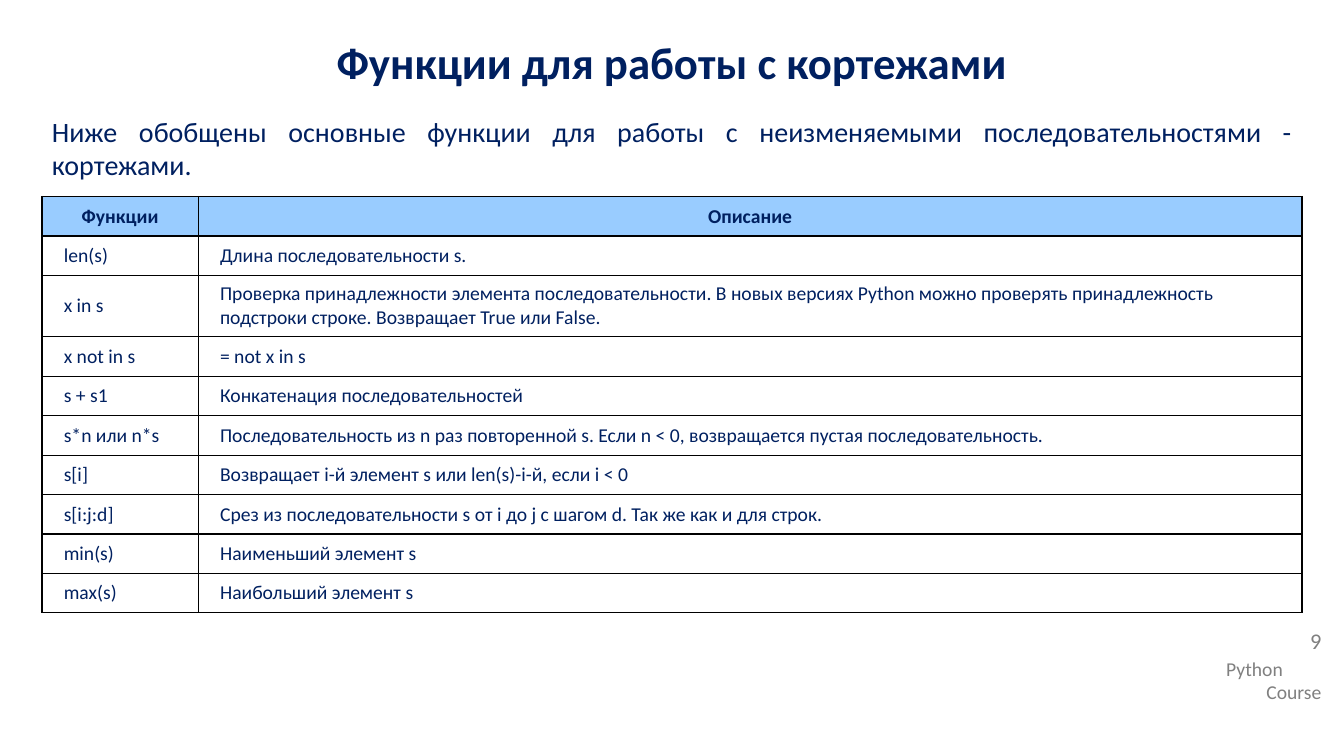
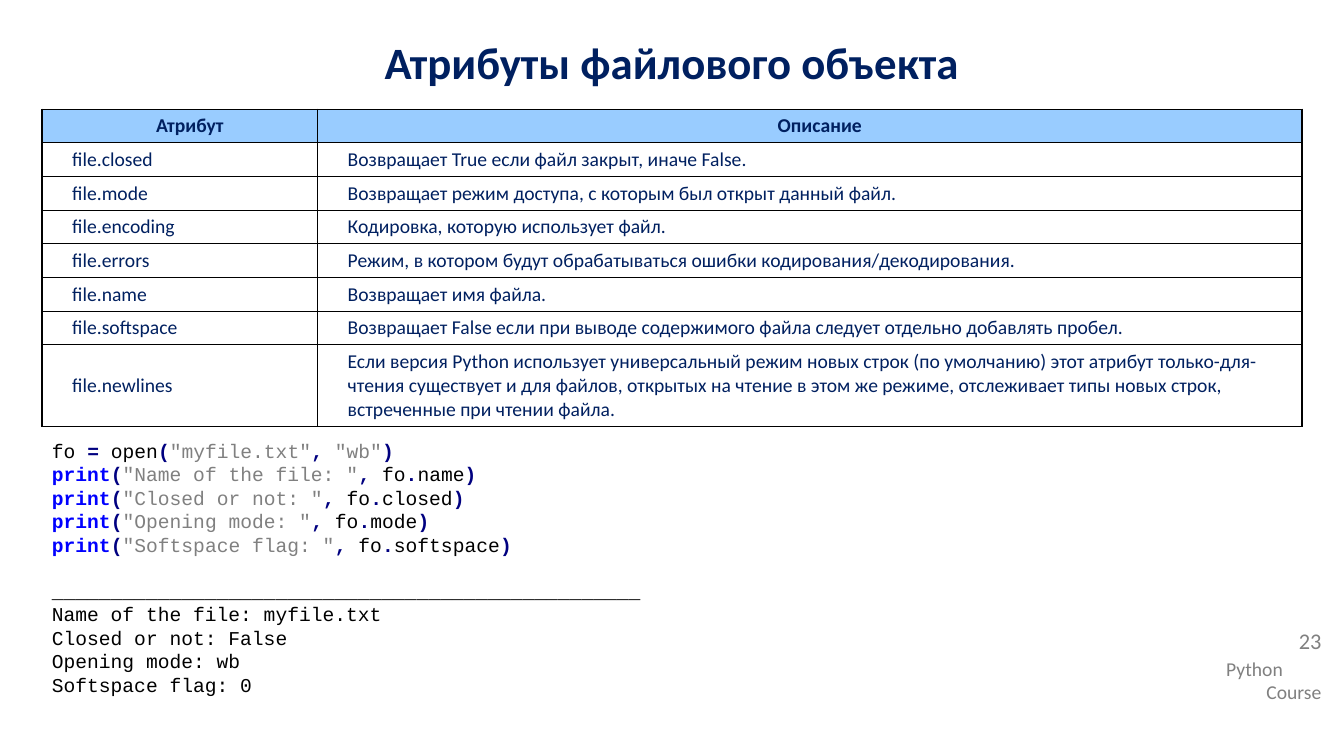
from dataclasses import dataclass

from lxml import etree
from pptx import Presentation
from pptx import util as u
from pptx.dml.color import RGBColor
from pptx.enum import text
from pptx.oxml import ns

PX = 7620
SLIDE_WIDTH, SLIDE_HEIGHT = 1600, 900
MARGIN, CONTENT_TOP = 50, 130
CONTENT_WIDTH = SLIDE_WIDTH - 2 * MARGIN


@dataclass(frozen=True)
class TextStyle:
    size: int
    color: str
    bold: bool = False
    font: str = "Calibri"


NAVY, GRAY, BLACK = "002060", "808080", "000000"
CODE_SIZE, CODE_FONT = 14, "Courier New"
THEME = {
    "header_fill": "99CCFF",
    "border": BLACK,
    "title": TextStyle(32, NAVY, True),
    "intro": TextStyle(20, NAVY),
    "header": TextStyle(14, NAVY, True),
    "cell": TextStyle(14, NAVY),
    "number": TextStyle(16, GRAY),
    "footer": TextStyle(14, GRAY),
    "plain": TextStyle(CODE_SIZE, BLACK, False, CODE_FONT),
    "operator": TextStyle(CODE_SIZE, "000080", True, CODE_FONT),
    "keyword": TextStyle(CODE_SIZE, "0000FF", True, CODE_FONT),
    "string": TextStyle(CODE_SIZE, GRAY, False, CODE_FONT),
}

LEFT, CENTER = text.PP_ALIGN.LEFT, text.PP_ALIGN.CENTER
RIGHT, JUSTIFY = text.PP_ALIGN.RIGHT, text.PP_ALIGN.JUSTIFY

INTRO = (
    "Ниже обобщены основные функции для работы с неизменяемыми "
    "последовательностями - кортежами."
)

FUNCTIONS = [
    ("Функции", "Описание"),
    ("len(s)", "Длина последовательности s."),
    (
        "x in s",
        "Проверка принадлежности элемента последовательности. В новых версиях "
        "Python можно проверять принадлежность подстроки строке. "
        "Возвращает True или False.",
    ),
    ("x not in s", "= not x in s"),
    ("s + s1", "Конкатенация последовательностей"),
    (
        "s*n или n*s",
        "Последовательность из n раз повторенной s. Если n < 0, "
        "возвращается пустая последовательность.",
    ),
    ("s[i]", "Возвращает i-й элемент s или len(s)-i-й, если i < 0"),
    (
        "s[i:j:d]",
        "Срез из последовательности s от i до j с шагом d. Так же как и для строк.",
    ),
    ("min(s)", "Наименьший элемент s"),
    ("max(s)", "Наибольший элемент s"),
]

ATTRIBUTES = [
    ("Атрибут", "Описание"),
    ("file.closed", "Возвращает True если файл закрыт, иначе False."),
    ("file.mode", "Возвращает режим доступа, с которым был открыт данный файл."),
    ("file.encoding", "Кодировка, которую использует файл."),
    (
        "file.errors",
        "Режим, в котором будут обрабатываться ошибки кодирования/декодирования.",
    ),
    ("file.name", "Возвращает имя файла."),
    (
        "file.softspace",
        "Возвращает False если при выводе содержимого файла следует отдельно "
        "добавлять пробел.",
    ),
    (
        "file.newlines",
        "Если версия Python использует универсальный режим новых строк "
        "(по умолчанию) этот атрибут только-для-чтения существует и для файлов, "
        "открытых на чтение в этом же режиме, отслеживает типы новых строк, "
        "встреченные при чтении файла.",
    ),
]

OPEN_LINE = [
    ("fo ", "plain"),
    ("=", "operator"),
    (" open", "plain"),
    ("(", "operator"),
    ('"myfile.txt"', "string"),
    (", ", "operator"),
    ('"wb"', "string"),
    (")", "operator"),
]

PRINTED = [
    ("Name of the file: ", "name", "myfile.txt"),
    ("Closed or not: ", "closed", "False"),
    ("Opening mode: ", "mode", "wb"),
    ("Softspace flag: ", "softspace", "0"),
]


def px(length):
    return u.Emu(length * PX)


def add_paragraph(frame, runs, align=LEFT, first=False):
    paragraph = frame.paragraphs[0] if first else frame.add_paragraph()
    paragraph.alignment = align
    for content, style_name in runs:
        style = THEME[style_name]
        run = paragraph.add_run()
        run.text = content
        run.font.name = style.font
        run.font.size = u.Pt(style.size)
        run.font.bold = style.bold
        run.font.color.rgb = RGBColor.from_string(style.color)
    return paragraph


def add_text(slide, box, paragraphs, anchor=text.MSO_ANCHOR.TOP):
    shape = slide.shapes.add_textbox(*map(px, box))
    frame = shape.text_frame
    frame.word_wrap = True
    frame.vertical_anchor = anchor
    for index, (runs, align) in enumerate(paragraphs):
        add_paragraph(frame, runs, align, first=index == 0)
    return frame.paragraphs


def add_base(presentation, title, number):
    slide = presentation.slides.add_slide(presentation.slide_layouts[6])
    add_text(
        slide,
        (1448, 776, 137, 68),
        [([("Python", "footer")], LEFT), ([("Course", "footer")], RIGHT)],
    )
    page = add_text(
        slide, (1448, 744, 137, 54), [([(str(number), "number")], RIGHT)]
    )[0]
    page.line_spacing = 0.9
    page.space_before = u.Pt(10)
    heading = add_text(
        slide,
        (0, 28, SLIDE_WIDTH, 91),
        [([(title, "title")], CENTER)],
        text.MSO_ANCHOR.MIDDLE,
    )[0]
    heading.space_before = heading.space_after = u.Pt(5)
    return slide


def add_borders(cell):
    properties = cell._tc.get_or_add_tcPr()
    for position, side in enumerate(("lnL", "lnR", "lnT", "lnB")):
        line = etree.Element(ns.qn(f"a:{side}"), w=str(u.Pt(1)))
        fill = etree.SubElement(line, ns.qn("a:solidFill"))
        etree.SubElement(fill, ns.qn("a:srgbClr"), val=THEME["border"])
        properties.insert(position, line)


def add_grid(slide, top, rows, first_width, heights, inset, header_indent):
    indent = 24
    inset_x, inset_y = inset
    frame = slide.shapes.add_table(
        len(rows), 2, px(MARGIN), px(top), px(CONTENT_WIDTH), px(sum(heights))
    )
    table = frame.table
    table.first_row = table.horz_banding = False
    for column, width in zip(
        table.columns, (first_width, CONTENT_WIDTH - first_width)
    ):
        column.width = px(width)
    for row_index, values in enumerate(rows):
        header = row_index == 0
        table.rows[row_index].height = px(heights[row_index])
        for column_index, value in enumerate(values):
            cell = table.cell(row_index, column_index)
            cell.vertical_anchor = text.MSO_ANCHOR.MIDDLE
            cell.margin_left = px(inset_x + (header_indent if header else indent))
            cell.margin_right = px(inset_x)
            cell.margin_top = cell.margin_bottom = px(inset_y)
            if header:
                cell.fill.solid()
                cell.fill.fore_color.rgb = RGBColor.from_string(THEME["header_fill"])
            else:
                cell.fill.background()
            add_borders(cell)
            add_paragraph(
                cell.text_frame,
                [(value, "header" if header else "cell")],
                CENTER if header else LEFT,
                first=True,
            )


def print_line(label, attribute):
    return [
        ("print", "keyword"),
        ("(", "operator"),
        (f'"{label}"', "string"),
        (",", "operator"),
        (" fo", "plain"),
        (".", "operator"),
        (attribute, "plain"),
        (")", "operator"),
    ]


def build_functions(presentation):
    slide = add_base(presentation, "Функции для работы с кортежами", 9)
    add_text(
        slide,
        (MARGIN, CONTENT_TOP, CONTENT_WIDTH, 748),
        [([(INTRO, "intro")], JUSTIFY)],
    )
    heights = [73 if name == "x in s" else 47 for name, _ in FUNCTIONS]
    add_grid(slide, 234, FUNCTIONS, 186, heights, (2, 2), 0)


def build_attributes(presentation):
    slide = add_base(presentation, "Атрибуты файлового объекта", 23)
    code = [OPEN_LINE] + [print_line(label, name) for label, name, _ in PRINTED]
    output = [[("_" * 50, "plain")]]
    output += [[(label + value, "plain")] for label, _, value in PRINTED]
    paragraphs = add_text(
        slide,
        (MARGIN, 516, CONTENT_WIDTH, 361),
        [(runs, LEFT) for runs in code + output],
    )
    paragraphs[len(code)].space_before = u.Pt(16)
    heights = [40] * (len(ATTRIBUTES) - 1) + [97]
    add_grid(slide, CONTENT_TOP, ATTRIBUTES, 328, heights, (12, 6), 24)


def main():
    presentation = Presentation()
    presentation.slide_width = px(SLIDE_WIDTH)
    presentation.slide_height = px(SLIDE_HEIGHT)
    build_functions(presentation)
    build_attributes(presentation)
    presentation.save("out.pptx")


if __name__ == "__main__":
    main()
